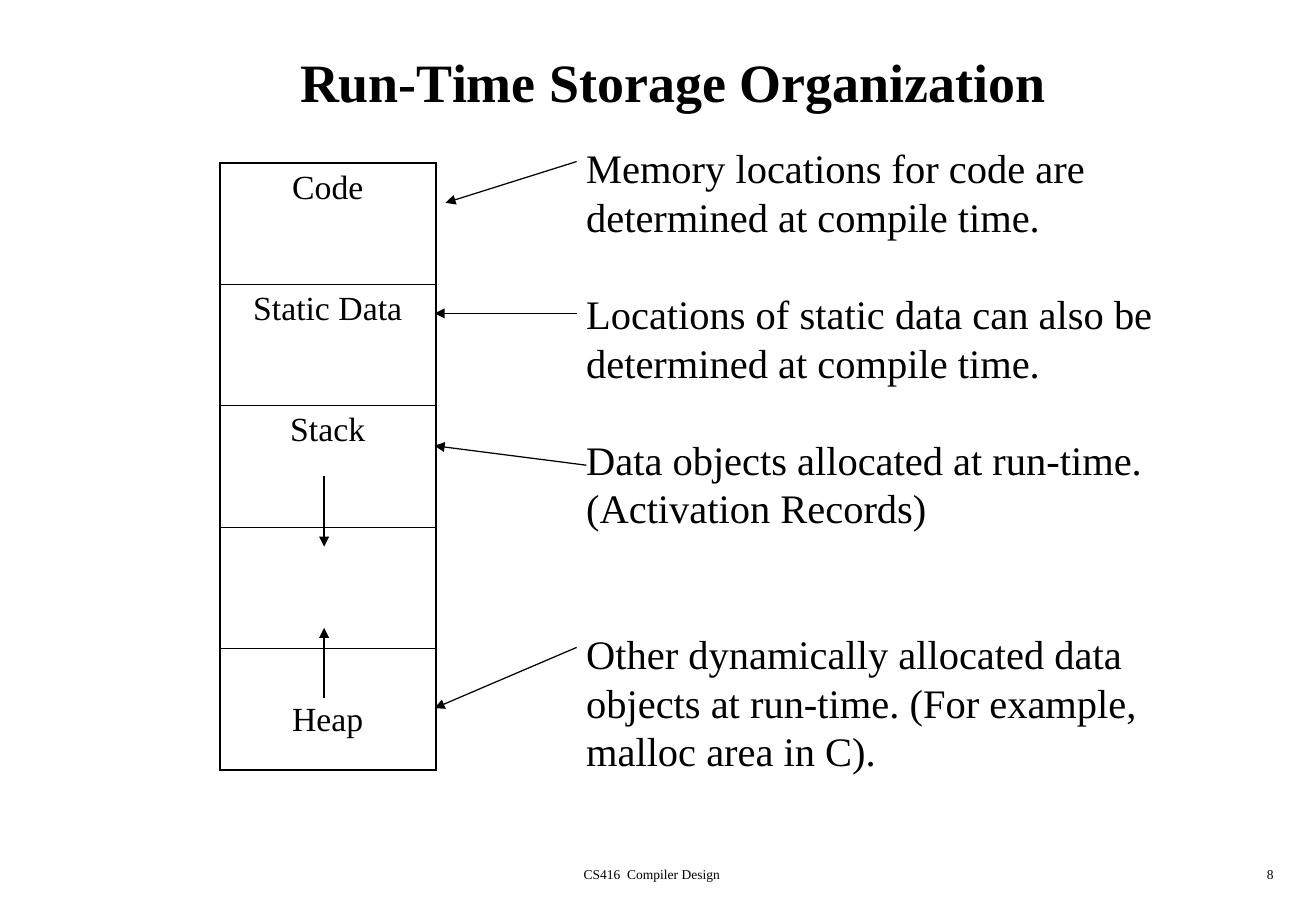
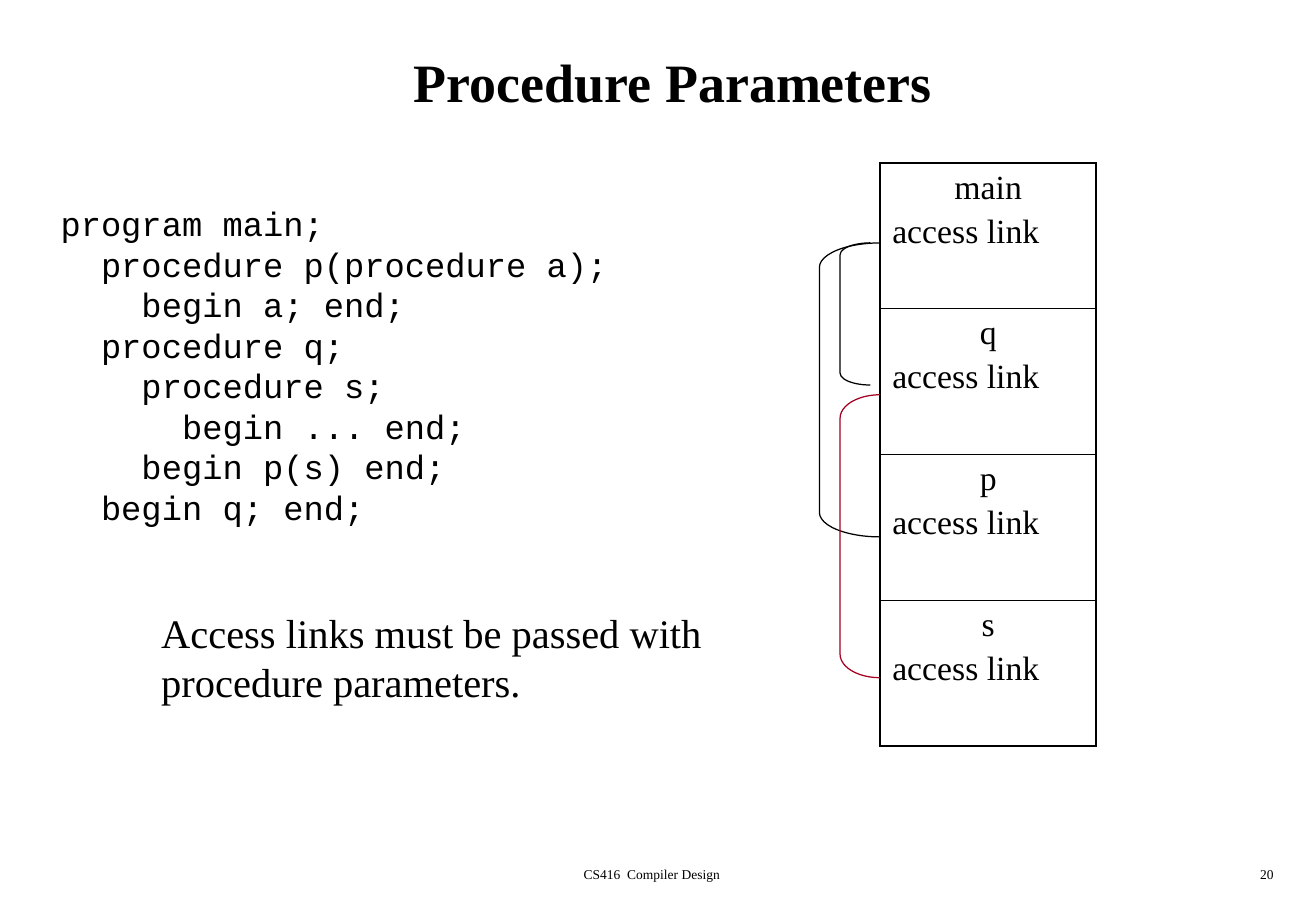
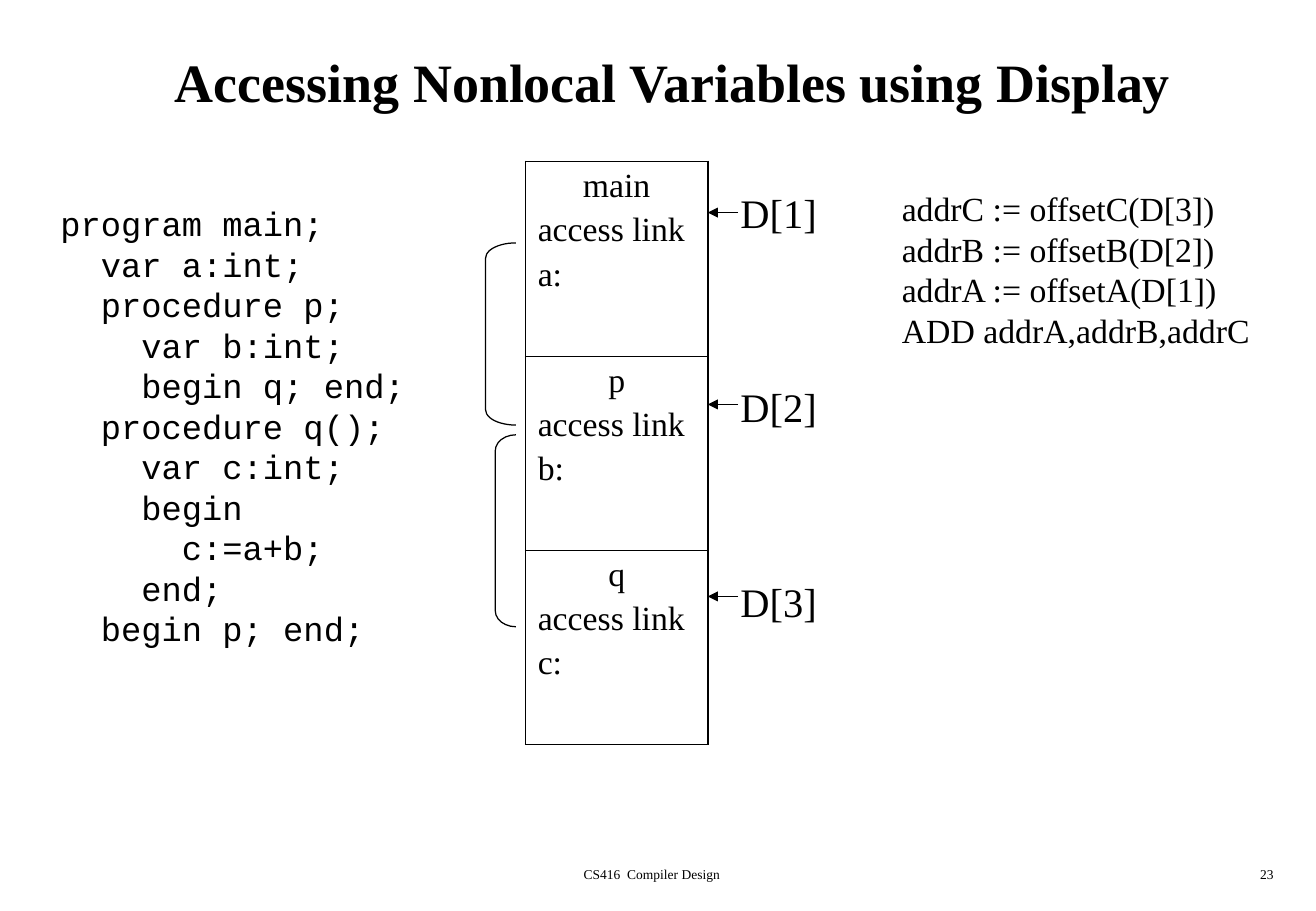
from lxml.etree import SubElement
from pptx import Presentation
from pptx.dml.color import RGBColor
from pptx.enum.shapes import MSO_CONNECTOR, MSO_SHAPE
from pptx.enum.text import MSO_ANCHOR, MSO_AUTO_SIZE, PP_ALIGN
from pptx.oxml import parse_xml
from pptx.oxml.ns import nsdecls, qn
from pptx.util import Inches, Pt

BLACK = RGBColor(0x00, 0x00, 0x00)
CRIMSON = RGBColor(0xA5, 0x00, 0x21)
WHITE = RGBColor(0xFF, 0xFF, 0xFF)
SERIF = "Times New Roman"
MONO = "Courier New"
LINE_PITCH = 1.2
OUTER_BORDER, INNER_BORDER = Pt(1.08), Pt(0.45)

MAIN_CODE = """program main;
  procedure p(procedure a);
    begin a; end;
  procedure q;
    procedure s;
      begin ... end;
    begin p(s) end;
  begin q; end;"""

DISPLAY_CODE = """program main;
  var a:int;
  procedure p;
    var b:int;
    begin q; end;
  procedure q();
    var c:int;
    begin
      c:=a+b;
    end;
  begin p; end;"""

ADDRESS_CODE = """addrC := offsetC(D[3])
addrB := offsetB(D[2])
addrA := offsetA(D[1])
ADD addrA,addrB,addrC"""


class Deck:
    """Holds the shared style and the slide being filled."""

    def __init__(self):
        self.presentation = Presentation()
        self.presentation.slide_width = Inches(10.84)
        self.presentation.slide_height = Inches(7.5)
        self.slide = None

    def set_font(self, paragraph, size, name=SERIF, bold=False):
        paragraph.font.name = name
        paragraph.font.size = Pt(size)
        paragraph.font.bold = bold
        paragraph.font.color.rgb = BLACK

    def new_slide(self, title, number):
        layout = self.presentation.slide_layouts[5]
        self.slide = self.presentation.slides.add_slide(layout)
        self.slide.background.fill.solid()
        self.slide.background.fill.fore_color.rgb = WHITE
        shape = self.slide.shapes.title
        shape.left, shape.top = Inches(0.42), Inches(0.17)
        shape.width, shape.height = Inches(10.25), Inches(1)
        frame = shape.text_frame
        frame.text = title
        frame.auto_size = MSO_AUTO_SIZE.NONE
        frame.vertical_anchor = MSO_ANCHOR.MIDDLE
        paragraph = frame.paragraphs[0]
        paragraph.alignment = PP_ALIGN.CENTER
        self.set_font(paragraph, 32, bold=True)
        self.footer("CS416  Compiler Design", 3.34, 4.06, PP_ALIGN.CENTER)
        self.footer(str(number), 8.33, 2.26, PP_ALIGN.RIGHT)

    def footer(self, text, left, width, alignment):
        box = self.slide.shapes.add_textbox(
            Inches(left), Inches(7.08), Inches(width), Inches(0.25))
        box.text_frame.word_wrap = True
        paragraph = box.text_frame.paragraphs[0]
        paragraph.text = text
        paragraph.alignment = alignment
        self.set_font(paragraph, 8)

    def text(self, text, left, top, width, size=24, font=SERIF):
        """Add a box with one paragraph per line of text."""
        lines = text.split("\n")
        height = len(lines) * size * LINE_PITCH / 72 + 0.1
        box = self.slide.shapes.add_textbox(
            Inches(left), Inches(top), Inches(width), Inches(height))
        frame = box.text_frame
        frame.word_wrap = False
        for index, line in enumerate(lines):
            paragraph = frame.paragraphs[0] if index == 0 else frame.add_paragraph()
            paragraph.text = line
            paragraph.line_spacing = Pt(size * LINE_PITCH)
            self.set_font(paragraph, size, font)

    def memory_table(self, cells, left, top, width, row_height):
        """Stack memory areas; each has a centred name, then left-aligned fields."""
        table = self.slide.shapes.add_table(
            len(cells), 1, Inches(left), Inches(top),
            Inches(width), Inches(row_height * len(cells))).table
        table.first_row = table.horz_banding = False
        for index, lines in enumerate(cells):
            cell = table.cell(index, 0)
            frame = cell.text_frame
            for position, line in enumerate(lines):
                paragraph = frame.paragraphs[0] if position == 0 else frame.add_paragraph()
                paragraph.text = line
                paragraph.alignment = PP_ALIGN.LEFT if position else PP_ALIGN.CENTER
                if position:
                    paragraph.space_before = Pt(4)
                self.set_font(paragraph, 20)
            top_border = INNER_BORDER if index else OUTER_BORDER
            bottom_border = OUTER_BORDER if index == len(cells) - 1 else INNER_BORDER
            self.cell_borders(cell, lnL=OUTER_BORDER, lnR=OUTER_BORDER,
                              lnT=top_border, lnB=bottom_border)
            cell.fill.background()
        return table

    def cell_borders(self, cell, **widths):
        properties = cell._tc.get_or_add_tcPr()
        for side, width in widths.items():
            properties.append(parse_xml(
                f'<a:{side} {nsdecls("a")} w="{int(width)}"><a:solidFill>'
                f'<a:srgbClr val="{BLACK}"/></a:solidFill></a:{side}>'))

    def arrow(self, start_x, start_y, end_x, end_y):
        connector = self.slide.shapes.add_connector(
            MSO_CONNECTOR.STRAIGHT, Inches(start_x), Inches(start_y),
            Inches(end_x), Inches(end_y))
        connector.line.color.rgb = BLACK
        connector.line.width = Pt(0.75)
        SubElement(connector.line._get_or_add_ln(), qn("a:tailEnd"), type="triangle")
        SubElement(connector._element.spPr, qn("a:effectLst"))

    def access_link(self, left, top, width, height, color=BLACK):
        """Add a left bracket whose corners take a twelfth of its height."""
        bracket = self.slide.shapes.add_shape(
            MSO_SHAPE.LEFT_BRACKET, Inches(left), Inches(top),
            Inches(width), Inches(height))
        bracket.adjustments[0] = height / 12 / width
        bracket.shadow.inherit = False
        bracket.fill.background()
        bracket.line.color.rgb = color
        bracket.line.width = Pt(0.75)


def storage_organization(deck):
    deck.new_slide("Run-Time Storage Organization", 8)
    areas = [["Code"], ["Static Data"], ["Stack"], [], ["Heap"]]
    table = deck.memory_table(areas, 1.81, 1.34, 1.78, 1)
    heap = table.cell(4, 0)
    heap.vertical_anchor = MSO_ANCHOR.BOTTOM
    heap.margin_bottom = Inches(0.26)
    deck.arrow(2.67, 3.92, 2.67, 4.5)
    deck.arrow(2.67, 5.75, 2.67, 5.17)

    explanations = [
        (1.13, "Memory locations for code are\ndetermined at compile time.",
         (4.75, 1.33, 3.67, 1.67)),
        (2.33, "Locations of static data can also be\ndetermined at compile time.",
         (4.75, 2.58, 3.58, 2.58)),
        (3.53, "Data objects allocated at run-time.\n(Activation Records)",
         (4.83, 3.83, 3.58, 3.67)),
        (5.13, "Other dynamically allocated data\nobjects at run-time. (For example,\n"
         "malloc area in C).", (4.75, 5.33, 3.58, 5.83)),
    ]
    for top, text, arrow in explanations:
        deck.text(text, 4.73, top, 4.95)
        deck.arrow(*arrow)


def procedure_parameters(deck):
    deck.new_slide("Procedure Parameters", 20)
    deck.text(MAIN_CODE, 0.4, 1.62, 4.71, 20, MONO)
    records = [[name, "access link"] for name in ("main", "q", "p", "s")]
    deck.memory_table(records, 7.25, 1.34, 1.78, 1.2)
    deck.access_link(6.92, 2, 0.25, 1.17)
    deck.access_link(6.75, 2, 0.5, 2.42)
    deck.access_link(6.92, 3.25, 0.33, 2.33, CRIMSON)
    deck.text("Access links must be passed with\nprocedure parameters.", 1.23, 4.96, 4.73)


def nonlocal_variables(deck):
    deck.new_slide("Accessing Nonlocal Variables using Display", 23)
    deck.text(DISPLAY_CODE, 0.4, 1.62, 3.04, 20, MONO)
    records = [[name, "access link", f"{variable}:"]
               for name, variable in zip(("main", "p", "q"), "abc")]
    deck.memory_table(records, 4.33, 1.33, 1.5, 1.6)
    deck.access_link(4.08, 3.58, 0.17, 1.58)
    deck.access_link(4, 2, 0.25, 1.5)
    deck.text(ADDRESS_CODE, 7.33, 1.5, 3.07, 20)
    for index in range(3):
        deck.text(f"D[{index + 1}]", 6, 1.5 + 1.6 * index, 0.83)
        arrow_y = 1.75 + 1.58 * index
        deck.arrow(6.08, arrow_y, 5.83, arrow_y)


def main():
    deck = Deck()
    storage_organization(deck)
    procedure_parameters(deck)
    nonlocal_variables(deck)
    deck.presentation.save("out.pptx")


if __name__ == "__main__":
    main()
